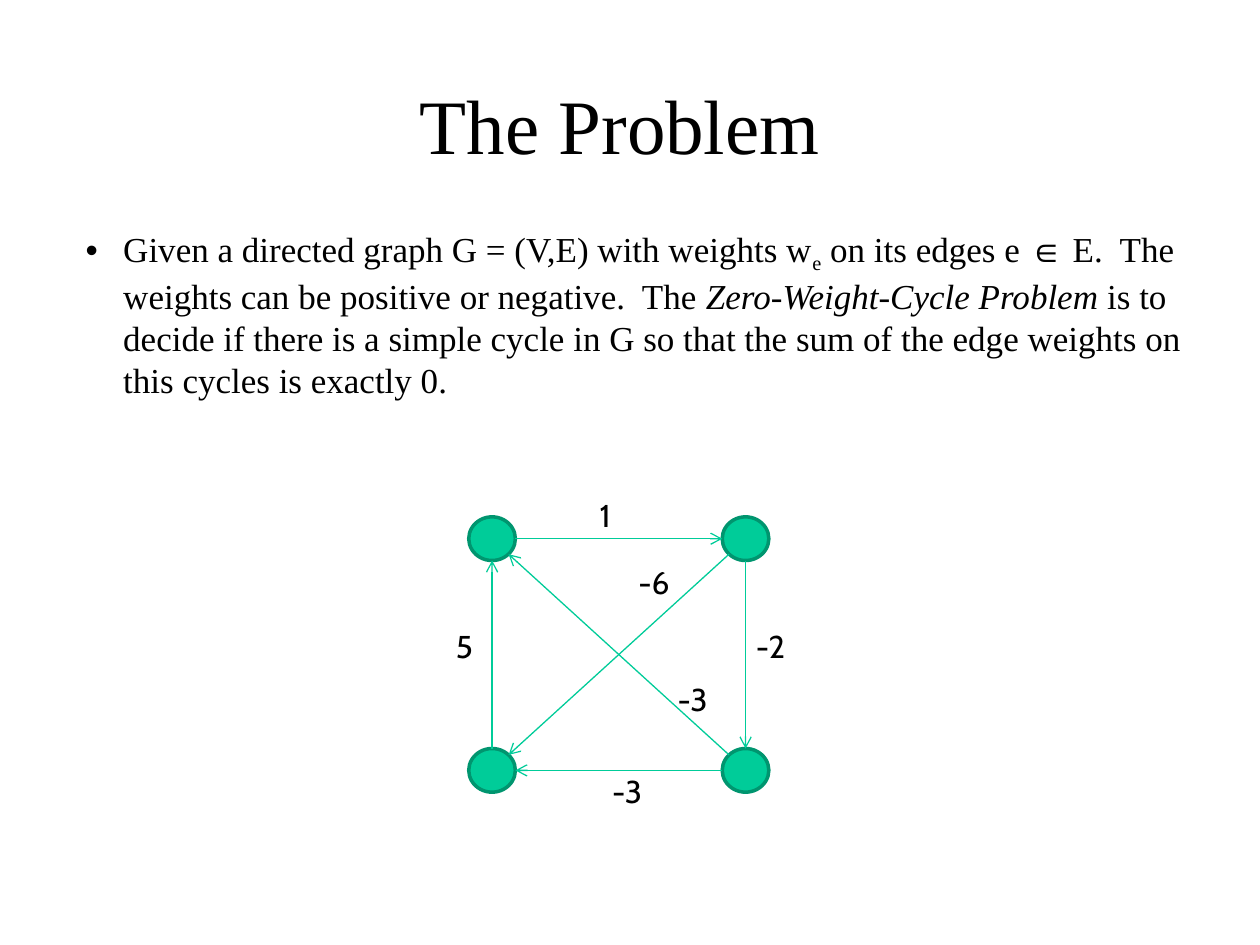
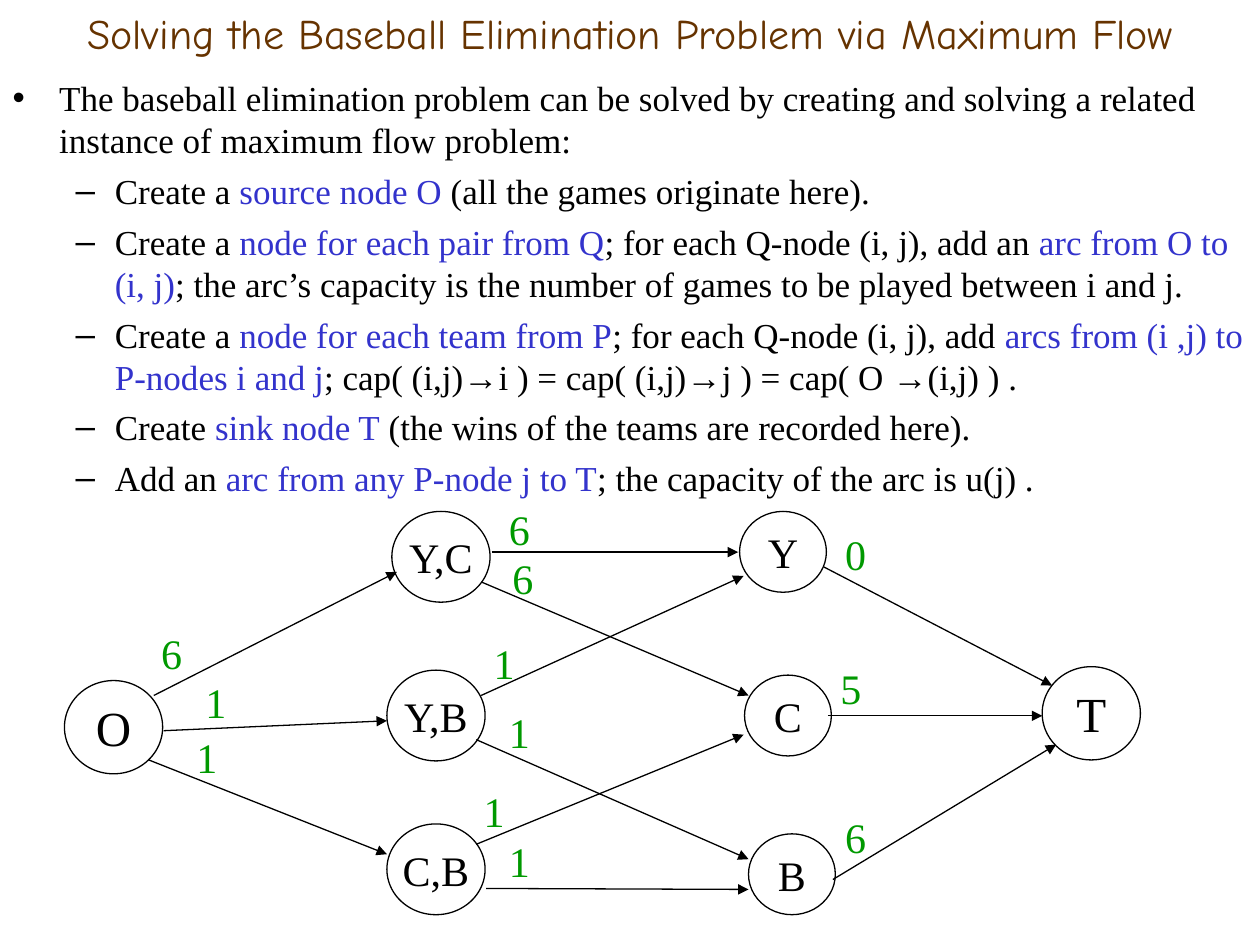
from typing import NamedTuple

from lxml import etree
from pptx import Presentation
from pptx.dml.color import RGBColor
from pptx.enum import shapes as kinds, text as txt
from pptx.oxml.ns import qn
from pptx.util import Cm, Pt

SERIF, SANS, HAND, SYMBOL = "Times New Roman", "Cabin", "Comic Neue", "Arial"
BLACK, WHITE, BROWN = "000000", "FFFFFF", "663300"
BLUE, GREEN, TEAL, PINE = "3333CC", "009900", "00CC99", "00956F"


class Box(NamedTuple):
    x: float
    y: float
    w: float
    h: float


class Run(NamedTuple):
    text: str
    color: str = BLACK
    font: str = SERIF
    italic: bool = False
    base: int = 0


class Item(NamedTuple):
    runs: list[Run]
    level: int = 0


class Node(NamedTuple):
    name: str
    box: Box
    size: int = 24
    fill: str | None = WHITE


class Edge(NamedTuple):
    start: tuple[float, float]
    end: tuple[float, float]
    cap: str
    spot: tuple[float, float]


class Tag(NamedTuple):
    text: str
    x: float
    y: float


def blue(text: str) -> Run:
    return Run(text, BLUE)


def rgb(code: str) -> RGBColor:
    return RGBColor.from_string(code)


def write(para, text: str, *, size: float, color: str = BLACK, font: str = SERIF,
          italic: bool = False, base: int = 0) -> None:
    """Add one run; base is the baseline shift in percent."""
    run = para.add_run()
    run.text = text
    run.font.size = Pt(size)
    run.font.name = font
    run.font.color.rgb = rgb(color)
    run.font.italic = italic
    if base:
        run._r.get_or_add_rPr().set("baseline", str(base * 1000))


def place(shape, box: Box) -> None:
    shape.left, shape.top, shape.width, shape.height = map(Cm, box)


def head(slide, text: str, box: Box, anchor, space: float = 1, **style) -> None:
    """Fill and move the title placeholder."""
    title = slide.shapes.title
    place(title, box)
    frame = title.text_frame
    frame.word_wrap = True
    frame.auto_size = txt.MSO_AUTO_SIZE.NONE
    frame.vertical_anchor = anchor
    para = frame.paragraphs[0]
    para.alignment = txt.PP_ALIGN.CENTER
    para.line_spacing = space
    write(para, text, **style)


def mark(para, char: str, left: float, hang: float) -> None:
    """Give a paragraph its bullet and hanging indent."""
    props = para._p.get_or_add_pPr()
    props.set("marL", str(Cm(left)))
    props.set("indent", str(-Cm(hang)))
    tint = etree.SubElement(props, qn("a:buClr"))
    etree.SubElement(tint, qn("a:srgbClr"), val=BLACK)
    etree.SubElement(props, qn("a:buChar"), char=char)


def fill_list(slide, box: Box, items: list[Item], indent: float) -> None:
    body = slide.placeholders[1]
    place(body, box)
    frame = body.text_frame
    frame.word_wrap = True
    frame.auto_size = txt.MSO_AUTO_SIZE.NONE
    frame.vertical_anchor = txt.MSO_ANCHOR.TOP
    bullets = [("•", indent, indent), ("–", 2.06, 0.79)]
    for i, item in enumerate(items):
        para = frame.add_paragraph() if i else frame.paragraphs[0]
        para.level = item.level
        para.alignment = txt.PP_ALIGN.LEFT
        para.space_before = Pt(5)
        mark(para, *bullets[item.level])
        for run in item.runs:
            write(para, size=20, **run._asdict())


def oval(slide, box: Box, fill: str | None, line: str, width: float):
    shape = slide.shapes.add_shape(kinds.MSO_SHAPE.OVAL, *map(Cm, box))
    shape.shadow.inherit = False
    if fill:
        shape.fill.solid()
        shape.fill.fore_color.rgb = rgb(fill)
    else:
        shape.fill.background()
    shape.line.color.rgb = rgb(line)
    shape.line.width = Pt(width)
    return shape


def arrow(slide, start: tuple, end: tuple, color: str, tip: str) -> None:
    line = slide.shapes.add_connector(
        kinds.MSO_CONNECTOR.STRAIGHT, *map(Cm, (*start, *end)))
    line.line.color.rgb = rgb(color)
    line.line.width = Pt(0.75)
    etree.SubElement(line.line._get_or_add_ln(), qn("a:tailEnd"), type=tip)
    etree.SubElement(line._element.spPr, qn("a:effectLst"))


def label(slide, text: str, box: Box, **style) -> None:
    frame = slide.shapes.add_textbox(*map(Cm, box)).text_frame
    frame.word_wrap = False
    write(frame.paragraphs[0], text, **style)


def rim(start: tuple, end: tuple, rx: float, ry: float) -> tuple[float, float]:
    """Point on the oval around start that faces end, in steps of 45 degrees."""
    sx, sy = ((b > a) - (b < a) for a, b in zip(start, end))
    scale = 0.71 if sx and sy else 1
    return start[0] + sx * rx * scale, start[1] + sy * ry * scale


def cycle(deck) -> None:
    slide = deck.slides.add_slide(deck.slide_layouts[1])
    head(slide, "The Problem", Box(1.7, 0.43, 21.59, 3.18),
         txt.MSO_ANCHOR.BOTTOM, space=0.96, size=44)
    fill_list(slide, Box(1.47, 4.45, 22.86, 12.57), [Item([
        Run("Given a directed graph G = (V,E) with weights w"),
        Run("e", base=-25),
        Run(" on its edges e "),
        Run("∈", font=SYMBOL),
        Run(" E.  The weights can be positive or negative.  The "),
        Run("Zero-Weight-Cycle Problem", italic=True),
        Run(" is to decide if there is a simple cycle in G so that the sum of "
            "the edge weights on this cycles is exactly 0."),
    ])], 0.76)

    left, right, top, low = 9.92, 15.03, 10.86, 15.53
    rx, ry = 0.47, 0.44
    nw, ne, sw, se = [(x, y) for y in (top, low) for x in (left, right)]
    for x, y in (nw, ne, sw, se):
        oval(slide, Box(x - rx, y - ry, 2 * rx, 2 * ry), TEAL, PINE, 2)
    for a, b in ((sw, nw), (ne, se), (se, sw), (nw, ne), (ne, sw), (se, nw)):
        arrow(slide, rim(a, b, rx, ry), rim(b, a, rx, ry), TEAL, "arrow")
    for tag in (Tag("1", 11.84, 9.88), Tag("-2", 14.99, 12.52),
                Tag("-3", 12.09, 15.44), Tag("5", 8.94, 12.52),
                Tag("-6", 12.62, 11.23), Tag("-3", 13.41, 13.59)):
        wide = 0.56 + 0.38 * len(tag.text)
        label(slide, tag.text, Box(tag.x, tag.y, wide, 1.02), size=18, font=SANS)


STEPS = [
    Item([Run("The baseball elimination problem can be solved by creating and "
              "solving a related instance of maximum flow problem:")]),
    Item([Run("Create a "), blue("source node O"),
          Run(" (all the games originate here).")], 1),
    Item([Run("Create a "), blue("node for each pair from Q"),
          Run("; for each Q-node (i, j), add an "), blue("arc from O to (i, j)"),
          Run("; the arc’s capacity is the number of games to be played "
              "between i and j.")], 1),
    Item([Run("Create a "), blue("node for each team from P"),
          Run("; for each Q-node (i, j), add "),
          blue("arcs from (i ,j) to P-nodes i and j"),
          Run("; cap( (i,j)"), Run("→", font=SYMBOL),
          Run("i ) = cap( (i,j)"), Run("→", font=SYMBOL),
          Run("j ) = cap( O "), Run("→", font=SYMBOL), Run("(i,j) ) .")], 1),
    Item([Run("Create "), blue("sink node T"),
          Run(" (the wins of the teams are recorded here).")], 1),
    Item([Run("Add an "), blue("arc from any P-node j to T"),
          Run("; the capacity of the arc is u(j) .")], 1),
]

PAIR, TEAM, HUB = (1.98, 1.83), (1.75, 1.63), (1.98, 1.88)
NODES = [
    Node("Y,C", Box(7.9, 10.31, *PAIR)),
    Node("Y,B", Box(7.8, 13.51, *PAIR)),
    Node("C,B", Box(7.8, 16.61, *PAIR)),
    Node("Y", Box(14.91, 10.31, *TEAM)),
    Node("C", Box(15.01, 13.61, *TEAM)),
    Node("B", Box(15.09, 16.81, *TEAM)),
    Node("O", Box(1.3, 13.72, *HUB), 28, None),
    Node("T", Box(21.01, 13.44, *HUB), 28, None),
]
EDGES = [
    Edge((3.1, 14.02), (8, 11.53), "6", (3, 12.52)),
    Edge((3.3, 14.73), (7.8, 14.53), "1", (3.89, 13.51)),
    Edge((3, 15.32), (7.8, 17.22), "1", (3.71, 14.63)),
    Edge((9.91, 11.13), (14.88, 11.13), "6", (10.01, 10.03)),
    Edge((9.7, 11.73), (15.09, 14.02), "6", (10.08, 11.02)),
    Edge((9.7, 14.02), (14.99, 11.61), "1", (9.7, 12.73)),
    Edge((9.6, 14.91), (15.09, 17.32), "1", (10.01, 14.12)),
    Edge((9.6, 17.02), (14.99, 14.81), "1", (9.5, 15.72)),
    Edge((9.8, 17.91), (15.09, 17.93), "1", (10.01, 16.71)),
    Edge((16.61, 11.43), (21.21, 13.82), "0", (16.79, 10.52)),
    Edge((16.69, 14.43), (21.01, 14.43), "5", (16.69, 13.23)),
    Edge((16.79, 17.73), (21.29, 15.01), "6", (16.79, 16.23)),
]


def flow(deck) -> None:
    slide = deck.slides.add_slide(deck.slide_layouts[1])
    head(slide, "Solving the Baseball Elimination Problem via Maximum Flow",
         Box(0, 0, 25.4, 1.32), txt.MSO_ANCHOR.MIDDLE,
         size=24, color=BROWN, font=HAND)
    fill_list(slide, Box(0, 1.42, 25.4, 17.63), STEPS, 0.94)
    for edge in EDGES:
        label(slide, edge.cap, Box(*edge.spot, 0.99, 1.27), size=24, color=GREEN)
    for node in NODES:
        frame = oval(slide, node.box, node.fill, BLACK, 0.75).text_frame
        frame.word_wrap = False
        frame.vertical_anchor = txt.MSO_ANCHOR.MIDDLE
        frame.margin_left = frame.margin_right = 0
        frame.margin_top = frame.margin_bottom = 0
        frame.paragraphs[0].alignment = txt.PP_ALIGN.CENTER
        write(frame.paragraphs[0], node.name, size=node.size)
    for edge in EDGES:
        arrow(slide, edge.start, edge.end, BLACK, "triangle")


def main() -> None:
    deck = Presentation()
    deck.slide_width, deck.slide_height = Cm(25.4), Cm(19.05)
    cycle(deck)
    flow(deck)
    deck.save("out.pptx")


if __name__ == "__main__":
    main()
